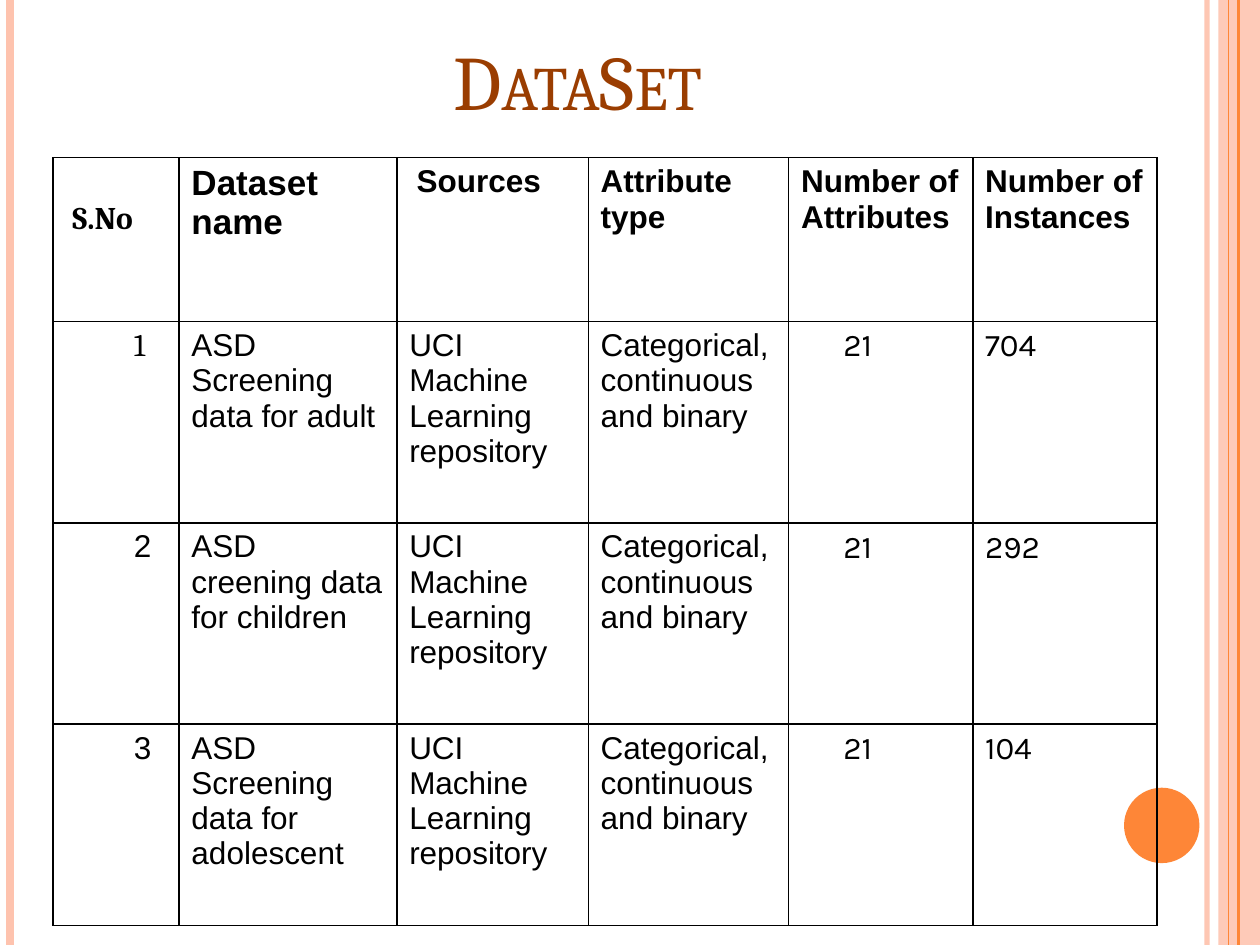
from typing import NamedTuple

import pptx
import pptx.dml.color
import pptx.enum.shapes
import pptx.enum.text
import pptx.oxml.ns
import pptx.util
from lxml import etree

Cm = pptx.util.Cm
SLIDE_WIDTH, SLIDE_HEIGHT = Cm(25.4), Cm(19.05)
PEACH, ORANGE, RUST, BLACK = "FEC3AE", "FE8637", "9A3D01", "000000"


class Stripe(NamedTuple):
    """A vertical line over the full slide height."""
    x: float
    color: str
    width: float
    opacity: int = 100


class Column(NamedTuple):
    """A table column: its heading, body font and text indents in cm."""
    heading: str
    width: float
    font: str = "Arial"
    indent: float = 0.25
    heading_indent: float = 0.25
    heading_font: str = "Arial"
    heading_size: int = 18
    heading_top: float = 0.13


STRIPES = [
    Stripe(24.33, PEACH, 3, 93),
    Stripe(0.2, PEACH, 4.5),
    Stripe(24.97, ORANGE, 1.5),
    Stripe(24.77, ORANGE, 0.75),
]
COLUMNS = [
    Column("S.No", 2.54, indent=1.63, heading_indent=0.39,
           heading_font="Cambria", heading_top=0.87),
    Column("Dataset name", 4.39, heading_size=20),
    Column("Sources", 3.86, heading_indent=0.4),
    Column("Attribute type", 4.04),
    Column("Number of Attributes", 3.71, font="Karla", indent=1.1),
    Column("Number of Instances", 3.71, font="Karla"),
]
DATASETS = [
    ("ASD Screening data for adult", "704"),
    ("ASD creening data for children", "292"),
    ("ASD Screening data for adolescent", "104"),
]
HEADING_HEIGHT, ROW_HEIGHT = 3.3, 4.06


def rgb(color: str) -> pptx.dml.color.RGBColor:
    """Turn a hex string into a colour."""
    return pptx.dml.color.RGBColor.from_string(color)


def sub(parent, tag: str, **attributes: str):
    """Append a DrawingML element."""
    return etree.SubElement(parent, pptx.oxml.ns.qn(tag), attributes)


def set_opacity(properties, percent: int) -> None:
    """Make the first colour inside the properties translucent."""
    if percent < 100:
        color = properties.find(".//" + pptx.oxml.ns.qn("a:srgbClr"))
        sub(color, "a:alpha", val=str(percent * 1000))


def write(frame, text: str, *, font: str = "Arial", size: float = 18,
          color: str = BLACK, bold: bool = False, small_caps: bool = False,
          align=pptx.enum.text.PP_ALIGN.LEFT) -> None:
    """Write one formatted paragraph into a text frame."""
    frame.word_wrap = True
    paragraph = frame.paragraphs[0]
    paragraph.alignment = align
    run = paragraph.add_run()
    run.text = text
    run.font.name = font
    run.font.size = pptx.util.Pt(size)
    run.font.bold = bold
    run.font.color.rgb = rgb(color)
    if small_caps:
        run.font._element.set("cap", "small")


def add_stripe(slide, stripe: Stripe) -> None:
    """Draw a vertical stripe."""
    line = slide.shapes.add_connector(
        pptx.enum.shapes.MSO_CONNECTOR.STRAIGHT,
        Cm(stripe.x), 0, Cm(stripe.x), SLIDE_HEIGHT)
    line.line.color.rgb = rgb(stripe.color)
    line.line.width = pptx.util.Pt(stripe.width)
    properties = line._element.spPr
    set_opacity(properties, stripe.opacity)
    sub(properties, "a:effectLst")


def add_plain_shape(slide, kind, left: float, top: float, width: float,
                    height: float, color: str, opacity: int = 100) -> None:
    """Draw a filled shape without outline or shadow."""
    shape = slide.shapes.add_shape(kind, Cm(left), Cm(top), Cm(width), Cm(height))
    shape.shadow.inherit = False
    shape.fill.solid()
    shape.fill.fore_color.rgb = rgb(color)
    shape.line.fill.background()
    set_opacity(shape._element.spPr, opacity)


def format_cell(cell, indent: float, top: float = 0.13) -> None:
    """Clear the fill, set the margins and rule all four sides of a cell."""
    cell.margin_left, cell.margin_top = Cm(indent), Cm(top)
    properties = cell._tc.get_or_add_tcPr()
    for side in ("a:lnL", "a:lnR", "a:lnT", "a:lnB"):
        border = sub(properties, side, w=str(pptx.util.Pt(1)))
        sub(sub(border, "a:solidFill"), "a:srgbClr", val=BLACK)
    cell.fill.background()


def add_dataset_table(slide) -> None:
    """Build the table of datasets."""
    heights = [HEADING_HEIGHT] + [ROW_HEIGHT] * len(DATASETS)
    table = slide.shapes.add_table(
        len(heights), len(COLUMNS), Cm(1.07), Cm(3.18),
        Cm(sum(column.width for column in COLUMNS)), Cm(sum(heights))).table
    table.first_row = table.horz_banding = False
    for row, height in zip(table.rows, heights):
        row.height = Cm(height)
    for index, column in enumerate(COLUMNS):
        table.columns[index].width = Cm(column.width)
        heading = table.cell(0, index)
        format_cell(heading, column.heading_indent, column.heading_top)
        write(heading.text_frame, column.heading, bold=True,
              font=column.heading_font, size=column.heading_size)
    for number, (dataset, instances) in enumerate(DATASETS, start=1):
        values = (str(number), dataset, "UCI Machine Learning repository",
                  "Categorical, continuous and binary", "21", instances)
        for index, (column, value) in enumerate(zip(COLUMNS, values)):
            cell = table.cell(number, index)
            format_cell(cell, column.indent)
            font = "Cambria" if (number, index) == (1, 0) else column.font
            write(cell.text_frame, value, font=font)


def build() -> None:
    """Build and save the slide."""
    deck = pptx.Presentation()
    deck.slide_width, deck.slide_height = SLIDE_WIDTH, SLIDE_HEIGHT
    slide = deck.slides.add_slide(deck.slide_layouts[6])
    shapes = pptx.enum.shapes.MSO_SHAPE
    add_plain_shape(slide, shapes.RECTANGLE, 24.56, 0, 0.84, 19.05, PEACH, 87)
    for stripe in STRIPES:
        add_stripe(slide, stripe)
    add_plain_shape(slide, shapes.OVAL, 22.66, 15.88, 1.52, 1.52, ORANGE)
    title = slide.shapes.add_textbox(Cm(1.27), Cm(0.43), Cm(20.75), Cm(2.24))
    title.text_frame.vertical_anchor = pptx.enum.text.MSO_ANCHOR.BOTTOM
    write(title.text_frame, "DataSet", font="Cambria", size=44, color=RUST,
          small_caps=True, align=pptx.enum.text.PP_ALIGN.CENTER)
    add_dataset_table(slide)
    deck.save("out.pptx")


build()
